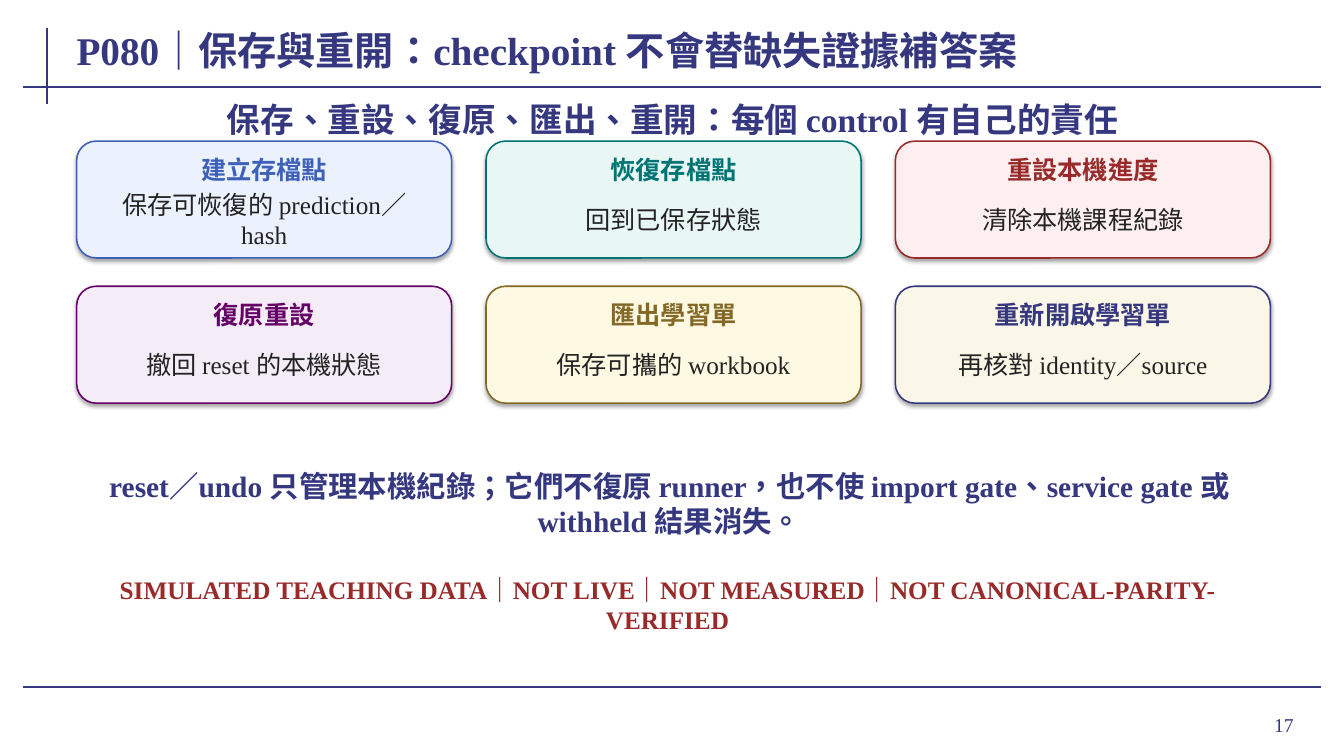
from lxml import etree
from pptx import Presentation
from pptx.dml.color import RGBColor
from pptx.enum.lang import MSO_LANGUAGE_ID
from pptx.enum.shapes import MSO_CONNECTOR, MSO_SHAPE
from pptx.enum.text import MSO_ANCHOR, MSO_AUTO_SIZE, PP_ALIGN
from pptx.oxml import parse_xml
from pptx.oxml.ns import nsdecls, qn
from pptx.util import Inches, Pt

STRAIGHT = MSO_CONNECTOR.STRAIGHT
ROUNDED = MSO_SHAPE.ROUNDED_RECTANGLE
MIDDLE = MSO_ANCHOR.MIDDLE
GROW, FIXED = MSO_AUTO_SIZE.SHAPE_TO_FIT_TEXT, MSO_AUTO_SIZE.NONE
LEFT, CENTER, RIGHT = PP_ALIGN.LEFT, PP_ALIGN.CENTER, PP_ALIGN.RIGHT
TAIWAN = MSO_LANGUAGE_ID.TRADITIONAL_CHINESE

FONT = "Times New Roman"
NAVY = RGBColor(0x35, 0x37, 0x7F)
INK = RGBColor(0x23, 0x23, 0x23)
BLUE = RGBColor(0x3D, 0x61, 0xB9)
TEAL = RGBColor(0x00, 0x74, 0x74)
RED = RGBColor(0x99, 0x2A, 0x2A)
PURPLE = RGBColor(0x66, 0x00, 0x66)
OCHRE = RGBColor(0x84, 0x68, 0x26)
PALE_BLUE = RGBColor(0xEC, 0xF1, 0xFE)
PALE_TEAL = RGBColor(0xE8, 0xF7, 0xF4)
PALE_RED = RGBColor(0xFD, 0xEF, 0xEF)
PALE_PURPLE = RGBColor(0xF4, 0xED, 0xF7)
PALE_YELLOW = RGBColor(0xFD, 0xF9, 0xE2)
CREAM = RGBColor(0xFA, 0xF7, 0xE8)

CARD_SHADOW = (
    f'<a:effectLst {nsdecls("a")}>'
    f'<a:outerShdw blurRad="{Pt(3.1)}" dist="{Pt(1.8)}" dir="5400000" rotWithShape="0">'
    '<a:srgbClr val="000000"><a:alpha val="35000"/></a:srgbClr>'
    '</a:outerShdw></a:effectLst>'
)

prs = Presentation()
prs.slide_width, prs.slide_height = Inches(13.33), Inches(7.5)
slide = prs.slides.add_slide(prs.slide_layouts[6])


def add_text(text, left, top, width, height, size=18, color=NAVY, bold=True,
             align=CENTER, auto_size=GROW, inset=(0.08, 0.04)):
    box = slide.shapes.add_textbox(Inches(left), Inches(top), Inches(width), Inches(height))
    frame = box.text_frame
    frame.word_wrap = True
    frame.auto_size = auto_size
    frame.vertical_anchor = MIDDLE
    frame.margin_left = frame.margin_right = Inches(inset[0])
    frame.margin_top = frame.margin_bottom = Inches(inset[1])
    paragraph = frame.paragraphs[0]
    paragraph.alignment = align
    run = paragraph.add_run()
    run.text = text
    run.font.name = FONT
    run.font.size = Pt(size)
    run.font.bold = bold
    run.font.color.rgb = color
    run.font.language_id = TAIWAN


# Frame rules: title tick, title underline, footer line
for x1, y1, x2, y2 in [
    (0.47, 0.28, 0.47, 1.03),
    (0.23, 0.86, 13.1, 0.86),
    (0.23, 6.82, 13.1, 6.82),
]:
    rule = slide.shapes.add_connector(STRAIGHT, Inches(x1), Inches(y1), Inches(x2), Inches(y2))
    rule.line.color.rgb = NAVY
    rule.line.width = Pt(1.5)
    etree.SubElement(rule._element.spPr, qn("a:effectLst"))

add_text("17", 11.96, 6.93, 0.97, 0.52, size=14, bold=False, align=RIGHT,
         auto_size=FIXED, inset=(0.1, 0.05))
add_text("P080｜保存與重開：checkpoint 不會替缺失證據補答案", 0.68, 0.18, 11.95, 0.62,
         size=28, align=LEFT, auto_size=FIXED)
add_text("保存、重設、復原、匯出、重開：每個 control 有自己的責任", 0.86, 0.94, 11.62, 0.48, size=24)

# Control cards, three to a row
controls = [
    ("建立存檔點", "保存可恢復的 prediction／hash", BLUE, PALE_BLUE),
    ("恢復存檔點", "回到已保存狀態", TEAL, PALE_TEAL),
    ("重設本機進度", "清除本機課程紀錄", RED, PALE_RED),
    ("復原重設", "撤回 reset 的本機狀態", PURPLE, PALE_PURPLE),
    ("匯出學習單", "保存可攜的 workbook", OCHRE, PALE_YELLOW),
    ("重新開啟學習單", "再核對 identity／source", NAVY, CREAM),
]
for index, (control, duty, accent, tint) in enumerate(controls):
    row, column = divmod(index, 3)
    left = 0.76 + 4.06 * column
    top = 1.4 + 1.44 * row
    card = slide.shapes.add_shape(ROUNDED, Inches(left), Inches(top), Inches(3.72), Inches(1.16))
    card.fill.solid()
    card.fill.fore_color.rgb = tint
    card.line.color.rgb = accent
    card.line.width = Pt(1.1)
    card._element.spPr.append(parse_xml(CARD_SHADOW))
    add_text(control, left + 0.14, top + 0.12, 3.44, 0.32, color=accent)
    add_text(duty, left + 0.16, top + 0.52, 3.4, 0.52, color=INK, bold=False)

add_text("reset／undo 只管理本機紀錄；它們不復原 runner，也不使 import gate、service gate 或 withheld 結果消失。",
         0.96, 4.64, 11.36, 0.7, size=21)
add_text("SIMULATED TEACHING DATA｜NOT LIVE｜NOT MEASURED｜NOT CANONICAL-PARITY-VERIFIED",
         0.72, 5.86, 11.8, 0.27, color=RED)

prs.save("out.pptx")
